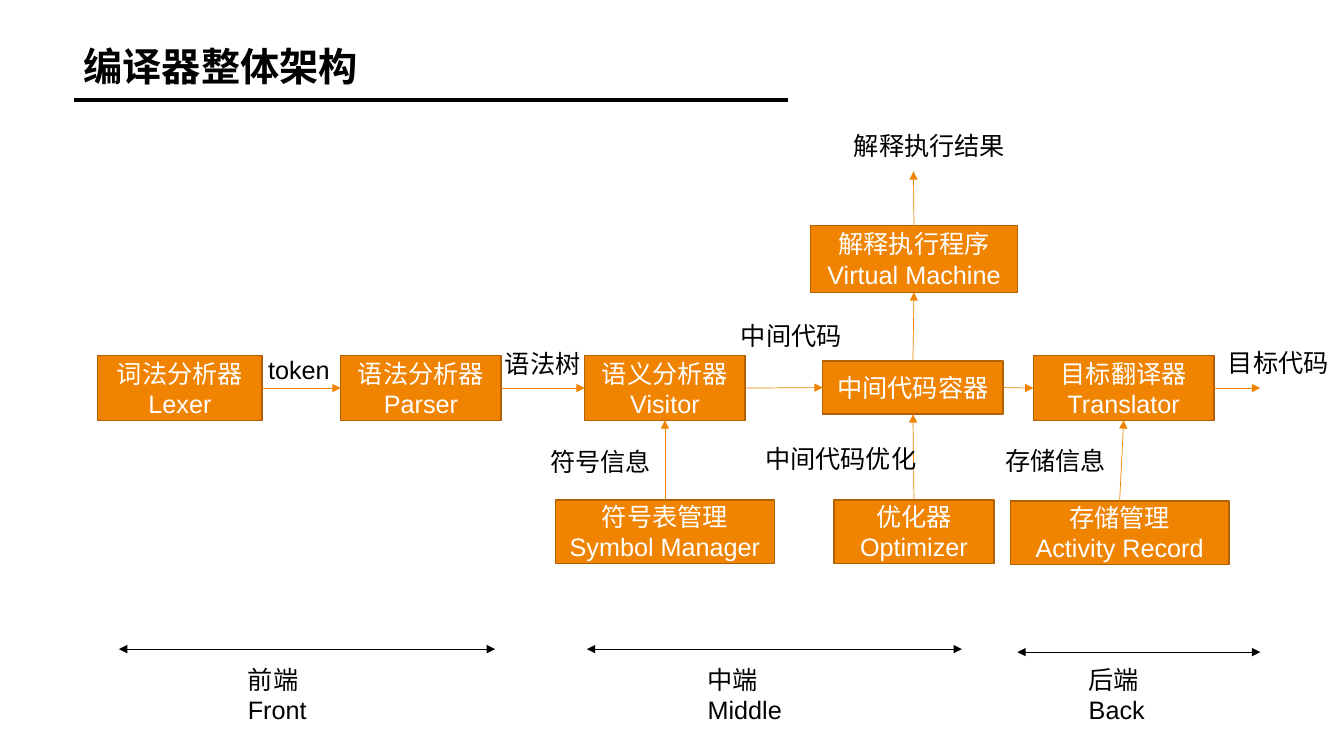
"""Build the compiler architecture slide."""
import pptx
import pptx.util
import pptx.dml.color
import pptx.enum.shapes
import pptx.enum.text
import pptx.oxml
from lxml import etree

Inches, Pt = pptx.util.Inches, pptx.util.Pt
ORANGE, BROWN, BLACK, WHITE = "F08300", "B26100", "000000", "FFFFFF"
FONT = "Arial"
TOP, LEFT, BOTTOM, RIGHT = range(4)

TITLE = "编译器整体架构"
MODULES = {
    "lexer": ("词法分析器\nLexer", 0.97, 3.53, 1.63, 0.64),
    "parser": ("语法分析器\nParser", 3.38, 3.53, 1.59, 0.64),
    "visitor": ("语义分析器\nVisitor", 5.8, 3.53, 1.59, 0.64),
    "optimizer": ("优化器\nOptimizer", 8.27, 4.96, 1.59, 0.63),
    "container": ("中间代码容器", 8.16, 3.58, 1.79, 0.53),
    "translator": ("目标翻译器\nTranslator", 10.25, 3.53, 1.79, 0.64),
    "machine": ("解释执行程序\nVirtual Machine", 8.04, 2.24, 2.05, 0.66),
    "symbols": ("符号表管理\vSymbol Manager", 5.51, 4.96, 2.17, 0.63),
    "storage": ("存储管理\nActivity Record", 10.02, 4.97, 2.17, 0.63),
}
FLOWS = [
    ("lexer", RIGHT, "parser", LEFT),
    ("parser", RIGHT, "visitor", LEFT),
    ("visitor", RIGHT, "container", LEFT),
    ("container", RIGHT, "translator", LEFT),
    ("container", TOP, "machine", BOTTOM),
    ("optimizer", TOP, "container", BOTTOM),
    ("symbols", TOP, "visitor", BOTTOM),
    ("storage", TOP, "translator", BOTTOM),
]
OUTPUTS = [
    ("machine", TOP, 9.06, 2.24, 9.06, 1.7),
    ("translator", RIGHT, 12.04, 3.85, 12.5, 3.85),
]
FLOW_LABELS = [
    ("token", 2.56, 3.47, 0.82),
    ("语法树", 4.91, 3.41, 0.96),
    ("中间代码", 7.25, 3.13, 1.21),
    ("解释执行结果", 8.37, 1.24, 1.72),
    ("中间代码优化", 7.49, 4.35, 1.72),
    ("目标代码", 12.08, 3.4, 1.21),
    ("符号信息", 5.36, 4.38, 1.21),
    ("存储信息", 9.87, 4.37, 1.21),
]
STAGES = [
    ("前端\vFront", 2.36, 1.37, 1.18, 4.91, 6.44),
    ("中端\vMiddle", 6.92, 1.52, 5.82, 9.54, 6.44),
    ("后端\vBack", 10.7, 1.34, 10.09, 12.5, 6.47),
]


def rgb(color):
    return pptx.dml.color.RGBColor.from_string(color)


def write(frame, text, color, size=18, align=None, bold=None):
    frame.text = text
    for paragraph in frame.paragraphs:
        paragraph.alignment = align
        paragraph.font.name = FONT
        paragraph.font.size = Pt(size)
        paragraph.font.bold = bold
        paragraph.font.color.rgb = rgb(color)


def add_module(slide, text, *box):
    module = slide.shapes.add_shape(
        pptx.enum.shapes.MSO_SHAPE.RECTANGLE, *map(Inches, box))
    module.shadow.inherit = False
    module.fill.solid()
    module.fill.fore_color.rgb = rgb(ORANGE)
    module.line.color.rgb = rgb(BROWN)
    module.line.width = Pt(1)
    module.text_frame.word_wrap = True
    module.text_frame.vertical_anchor = pptx.enum.text.MSO_ANCHOR.MIDDLE
    write(module.text_frame, text, WHITE, align=pptx.enum.text.PP_ALIGN.CENTER)
    return module


def add_label(slide, text, left, top, width, wrap=False):
    label = slide.shapes.add_textbox(*map(Inches, (left, top, width, 0.4)))
    label.text_frame.word_wrap = wrap
    label.text_frame.auto_size = pptx.enum.text.MSO_AUTO_SIZE.SHAPE_TO_FIT_TEXT
    write(label.text_frame, text, BLACK)


def add_line(slide, ends, color, width=0.5, arrows=()):
    line = slide.shapes.add_connector(
        pptx.enum.shapes.MSO_CONNECTOR.STRAIGHT, *map(Inches, ends))
    line.line.color.rgb = rgb(color)
    line.line.width = Pt(width)
    outline = line.line._get_or_add_ln()
    for arrow in arrows:
        etree.SubElement(outline, pptx.oxml.ns.qn(f"a:{arrow}"), type="triangle")
    etree.SubElement(line._element.spPr, pptx.oxml.ns.qn("a:effectLst"))
    return line


def main():
    deck = pptx.Presentation()
    deck.slide_width, deck.slide_height = Inches(13.33), Inches(7.5)
    slide = deck.slides.add_slide(deck.slide_layouts[5])

    title = slide.shapes.title
    title.left, title.top, title.width, title.height = map(
        Inches, (0.73, 0.42, 11.87, 1.12))
    title.text_frame.vertical_anchor = pptx.enum.text.MSO_ANCHOR.TOP
    write(title.text_frame, TITLE, BLACK, 28, pptx.enum.text.PP_ALIGN.LEFT, True)
    title.text_frame.paragraphs[0].line_spacing = 0.9
    add_line(slide, (0.73, 0.99, 7.82, 0.99), BLACK, 3)

    modules = {key: add_module(slide, *module) for key, module in MODULES.items()}
    for source, source_side, target, target_side in FLOWS:
        flow = add_line(slide, (0, 0, 0, 0), ORANGE, arrows=["tailEnd"])
        flow.begin_connect(modules[source], source_side)
        flow.end_connect(modules[target], target_side)
    for source, side, *ends in OUTPUTS:
        output = add_line(slide, ends, ORANGE, arrows=["tailEnd"])
        output.begin_connect(modules[source], side)

    for label in FLOW_LABELS:
        add_label(slide, *label)
    for text, left, width, start, end, level in STAGES:
        add_line(slide, (start, level, end, level), BLACK,
                 arrows=["headEnd", "tailEnd"])
        add_label(slide, text, left, 6.54, width, wrap=True)

    deck.save("out.pptx")


if __name__ == "__main__":
    main()
